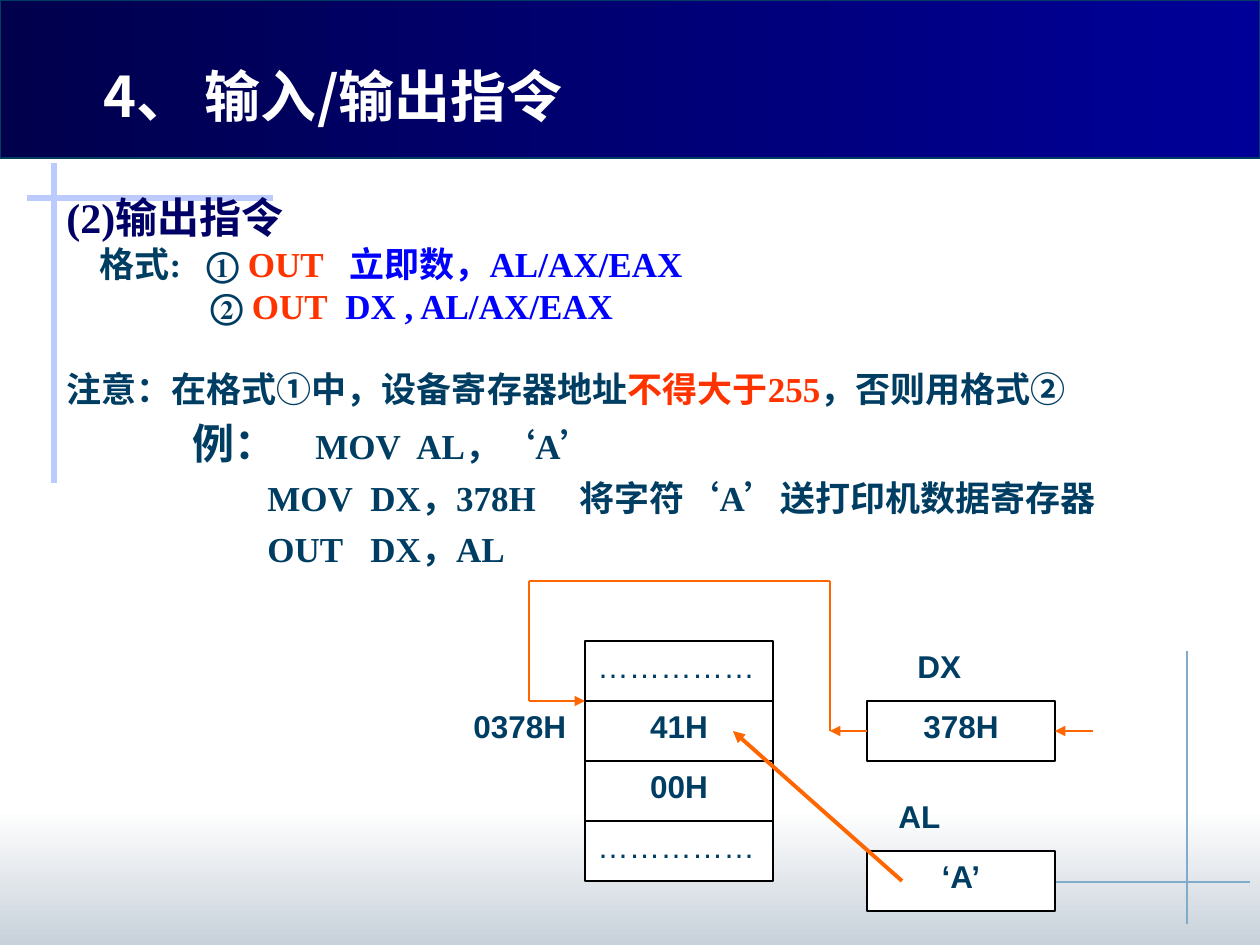
from dataclasses import dataclass

from lxml.etree import SubElement
from pptx import Presentation
from pptx.dml.color import RGBColor
from pptx.enum.shapes import MSO_CONNECTOR, MSO_SHAPE
from pptx.enum.text import MSO_ANCHOR, PP_ALIGN
from pptx.oxml.ns import qn
from pptx.util import Emu, Pt


@dataclass(frozen=True)
class Theme:
    ink: str = "003D62"
    navy: str = "000066"
    red: str = "FF3300"
    blue: str = "0000FF"
    flow: str = "FF6600"
    cross: str = "BBCBFD"
    rule: str = "81ABCB"
    white: str = "FFFFFF"
    black: str = "000000"
    mist: str = "C8D1DA"
    dark: str = "00004D"
    royal: str = "000099"
    sans: str = "Arial"
    serif: str = "Times New Roman"
    cjk: str = "Noto Sans CJK JP"
    title: int = 32
    head: int = 24
    body: int = 20
    label: int = 18


T = Theme()
SCALE = 914400 / 126


def px(n):
    return Emu(round(n * SCALE))


def rgb(code):
    return RGBColor.from_string(code)


def write(para, text, size=T.label, color=T.ink, font=T.sans, bold=True):
    run = para.add_run()
    run.text = text
    run.font.size = Pt(size)
    run.font.bold = bold
    run.font.name = font
    run.font.color.rgb = rgb(color)
    SubElement(run.font._element, qn("a:ea")).set("typeface", T.cjk)


def frame(shape, anchor=MSO_ANCHOR.TOP):
    area = shape.text_frame
    area.word_wrap = True
    area.vertical_anchor = anchor
    return area


def label(slide, text, x, y, w, h, align=PP_ALIGN.LEFT, **style):
    area = frame(slide.shapes.add_textbox(px(x), px(y), px(w), px(h)))
    para = area.paragraphs[0]
    para.alignment = align
    write(para, text, **style)


def rect(slide, x, y, w, h):
    shape = slide.shapes.add_shape(MSO_SHAPE.RECTANGLE, px(x), px(y), px(w), px(h))
    shape.shadow.inherit = False
    shape.line.fill.background()
    return shape


def fade(shape, start, end, angle):
    shape.fill.gradient()
    shape.fill.gradient_angle = angle
    for stop, code in zip(shape.fill.gradient_stops, (start, end)):
        stop.color.rgb = rgb(code)


def edge(shape, color, width):
    shape.line.color.rgb = rgb(color)
    shape.line.width = Pt(width)


def cell(slide, text, x, y, w, h, align=PP_ALIGN.CENTER, **style):
    shape = rect(slide, x, y, w, h)
    shape.fill.solid()
    shape.fill.fore_color.rgb = rgb(T.white)
    edge(shape, T.black, 1.5)
    para = frame(shape).paragraphs[0]
    para.alignment = align
    write(para, text, **style)
    return shape


def line(slide, x1, y1, x2, y2, color, width, arrow=False):
    link = slide.shapes.add_connector(
        MSO_CONNECTOR.STRAIGHT, px(x1), px(y1), px(x2), px(y2))
    edge(link, color, width)
    SubElement(link._element.spPr, qn("a:effectLst"))
    if arrow:
        SubElement(link.line._get_or_add_ln(), qn("a:tailEnd")).set("type", "triangle")
    return link


def backdrop(slide, w, h):
    fade(rect(slide, 0, h - 136, w, 136), T.white, T.mist, 270)
    line(slide, w - 73, h - 294, w - 73, h - 21, T.rule, 0.75)
    line(slide, w - 346, h - 63, w - 10, h - 63, T.rule, 0.75)
    line(slide, 273, 198, 27, 198, T.cross, 3)
    line(slide, 54, 163, 54, 483, T.cross, 3)


def header(slide, x, y, w, h):
    band = rect(slide, x, y, w, h)
    fade(band, T.dark, T.royal, 0)
    edge(band, T.ink, 0.75)
    label(slide, "4、 输入/输出指令", x - 4, y + 55, 674, 81,
          align=PP_ALIGN.CENTER, size=T.title, color=T.white, font=T.cjk)


def lesson(slide, x, y, w, h):
    rows = [
        (0.8, 0, (), [("(2)输出指令", T.navy, T.head)]),
        (0.8, 5, (33, 140, 283), [("\t格式:\t① ", T.ink), ("OUT\t", T.red),
                                  ("立即数，AL/AX/EAX", T.blue)]),
        (0.8, 5, (144, 279), [("\t② ", T.ink), ("OUT\t", T.red),
                              ("DX , AL/AX/EAX", T.blue)]),
        (0.8, 28, (), [("注意：在格式①中，设备寄存器地址", T.ink),
                       ("不得大于255", T.red), ("，否则用格式②", T.ink)]),
        (1, 5, (126, 249, 350), [("\t例：\t", T.ink, T.head), ("MOV\tAL，‘A’", T.ink)]),
        (1, 5, (201, 304, 513), [("\tMOV\tDX，378H\t将字符‘A’送打印机数据寄存器", T.ink)]),
        (1, 5, (201, 304), [("\tOUT\tDX，AL", T.ink)]),
    ]
    area = frame(slide.shapes.add_textbox(px(x), px(y), px(w), px(h)))
    for i, (pitch, gap, stops, parts) in enumerate(rows):
        para = area.add_paragraph() if i else area.paragraphs[0]
        para.line_spacing = pitch
        para.space_before = Pt(gap)
        if stops:
            tabs = SubElement(para._p.get_or_add_pPr(), qn("a:tabLst"))
            for stop in stops:
                tab = SubElement(tabs, qn("a:tab"))
                tab.set("pos", str(px(stop)))
                tab.set("algn", "l")
        for text, color, *size in parts:
            write(para, text, size=size[0] if size else T.body,
                  color=color, font=T.serif)


def diagram(slide, x, y, w, h):
    wide, tall = 188, 60
    stack, right = x + 124, x + 406
    top = y + tall
    dots = dict(align=PP_ALIGN.LEFT, bold=False)
    cells = [("……………", dots), ("41H", {}), ("00H", {}), ("……………", dots)]
    for i, (text, style) in enumerate(cells):
        cell(slide, text, stack, top + i * tall, wide, tall, **style)
    label(slide, "0378H", x, top + tall, 128, tall)

    port = cell(slide, "378H", right, top + tall, wide, tall)
    cell(slide, "‘A’", right, y + h - tall, wide, tall)
    label(slide, "DX", right + 38, top, 113, tall)
    label(slide, "AL", right + 19, y + h - 2 * tall, 113, tall)

    mid = top + tall * 3 // 2
    bend, drop = right - 37, x + 68
    feed = line(slide, x + w, mid, right + wide, mid, T.flow, 1.5, arrow=True)
    feed.end_connect(port, 3)
    exit = line(slide, right, mid, bend, mid, T.flow, 1.5, arrow=True)
    exit.begin_connect(port, 1)
    route = [(bend, mid), (bend, y), (drop, y), (drop, top + tall), (stack, top + tall)]
    for start, end in zip(route, route[1:]):
        line(slide, *start, *end, T.flow, 1.5, arrow=end == route[-1])
    line(slide, right + 35, y + h - tall // 2, stack + 148, mid, T.flow, 2.25, arrow=True)


def main():
    deck = Presentation()
    deck.slide_width, deck.slide_height = px(1260), px(945)
    slide = deck.slides.add_slide(deck.slide_layouts[6])
    backdrop(slide, 1260, 945)
    header(slide, 0, 0, 1260, 158)
    lesson(slide, 54, 195, 1134, 617)
    diagram(slide, 461, 581, 632, 330)
    deck.save("out.pptx")


if __name__ == "__main__":
    main()
